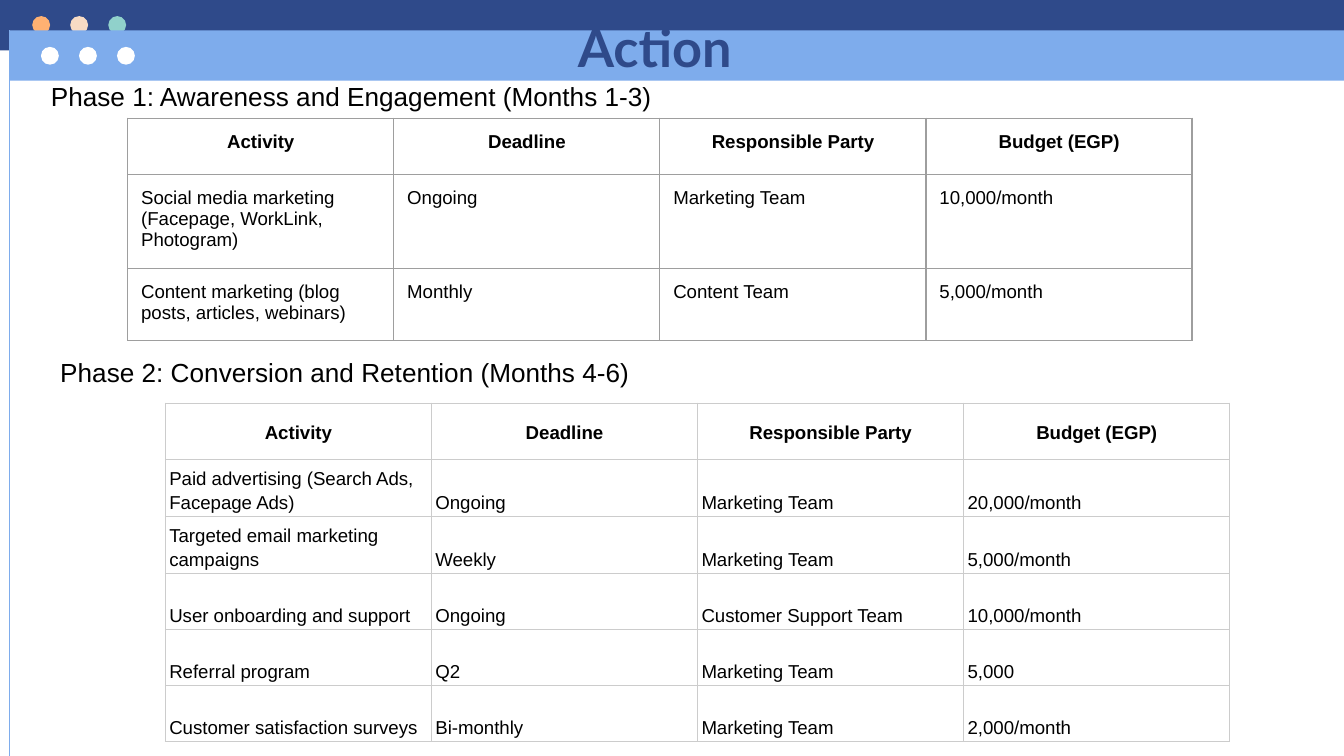
from lxml.etree import SubElement
from pptx import Presentation
from pptx.dml.color import RGBColor
from pptx.enum.shapes import MSO_CONNECTOR, MSO_SHAPE
from pptx.enum.text import MSO_ANCHOR, PP_ALIGN
from pptx.oxml.ns import qn
from pptx.util import Inches, Pt

presentation = Presentation()
presentation.slide_width = Inches(10)
presentation.slide_height = Inches(5.625)
column = presentation.slide_width / 100
row = presentation.slide_height / 100


def color(hex_string):
    return RGBColor.from_string(hex_string)


def place(left, top, width, height):
    return int(left * column), int(top * row), int(width * column), int(height * row)


NAVY, BLUE, WHITE, BLACK = "2F4A8A", "7EACEC", "FFFFFF", "000000"
HEADERS = ["Activity", "Deadline", "Responsible Party", "Budget (EGP)"]

slide = presentation.slides.add_slide(presentation.slide_layouts[5])

bands = [
    (0, 0, 6.67, NAVY, 2.4, 2.13, ["FFB172", "F8DBC4", "90D1CB"]),
    (0.7, 4, 6.67, BLUE, 3.05, 6.2, [WHITE] * 3),
]
for left, top, height, band_color, dot_left, dot_top, dot_colors in bands:
    pieces = [(MSO_SHAPE.RECTANGLE, (left, top, 100 - left, height), band_color)]
    for index, dot_color in enumerate(dot_colors):
        dot_box = (dot_left + index * 2.83, dot_top, 1.33, 2.36)
        pieces.append((MSO_SHAPE.OVAL, dot_box, dot_color))
    for kind, box, fill_color in pieces:
        shape = slide.shapes.add_shape(kind, *place(*box))
        shape.shadow.inherit = False
        shape.fill.solid()
        shape.fill.fore_color.rgb = color(fill_color)
        shape.line.fill.background()

edge_x, edge_top, _, edge_height = place(0.7, 4, 0, 96)
edge = slide.shapes.add_connector(
    MSO_CONNECTOR.STRAIGHT, edge_x, edge_top, edge_x, edge_top + edge_height
)
edge.line.color.rgb = color(BLUE)
edge.line.width = Pt(0.75)
SubElement(edge._element.spPr, qn("a:effectLst"))

title = slide.shapes.title
title.element.getparent().append(title.element)
title.left, title.top, title.width, title.height = place(42, 0.18, 32.8, 11.9)
phase_1 = slide.shapes.add_textbox(*place(2.8, 8.89, 73.9, 7.82))
phase_2 = slide.shapes.add_textbox(*place(3.5, 45.33, 50.6, 7.82))
labels = [
    (title, "Action", "Lato", 28, NAVY, True),
    (phase_1, "Phase 1: Awareness and Engagement (Months 1-3)", "Arial", 14, BLACK, False),
    (phase_2, "Phase 2: Conversion and Retention (Months 4-6)", "Arial", 14, BLACK, False),
]
for shape, text, font_name, size, font_color, bold in labels:
    frame = shape.text_frame
    frame.word_wrap = True
    frame.vertical_anchor = MSO_ANCHOR.TOP
    frame.margin_left = frame.margin_right = Inches(0.1)
    frame.margin_top = frame.margin_bottom = Inches(0.1)
    paragraph = frame.paragraphs[0]
    paragraph.text = text
    paragraph.alignment = PP_ALIGN.LEFT
    paragraph.font.name = font_name
    paragraph.font.size = Pt(size)
    paragraph.font.bold = bold
    paragraph.font.color.rgb = color(font_color)

awareness_rows = [
    HEADERS,
    ["Social media marketing (Facepage, WorkLink, Photogram)", "Ongoing", "Marketing Team", "10,000/month"],
    ["Content marketing (blog posts, articles, webinars)", "Monthly", "Content Team", "5,000/month"],
]
conversion_rows = [
    HEADERS,
    ["Paid advertising (Search Ads, Facepage Ads)", "Ongoing", "Marketing Team", "20,000/month"],
    ["Targeted email marketing campaigns", "Weekly", "Marketing Team", "5,000/month"],
    ["User onboarding and support", "Ongoing", "Customer Support Team", "10,000/month"],
    ["Referral program", "Q2", "Marketing Team", "5,000"],
    ["Customer satisfaction surveys", "Bi-monthly", "Marketing Team", "2,000/month"],
]
tables = [
    (awareness_rows, 9.5, 15.64, "9E9E9E", 0.75, 0.1, 0.1, 1, MSO_ANCHOR.TOP, MSO_ANCHOR.TOP),
    (conversion_rows, 12.3, 53.33, "CCCCCC", 0.6, 0.03, 0.02, 1.15, MSO_ANCHOR.MIDDLE, MSO_ANCHOR.BOTTOM),
]
for rows, left, top, border_color, border_width, side, cap, spacing, head_anchor, body_anchor in tables:
    box = place(left, top, 4 * 19.8, len(rows) * 7.42)
    table = slide.shapes.add_table(len(rows), len(HEADERS), *box).table
    table.horz_banding = False
    for row_index, texts in enumerate(rows):
        is_header = row_index == 0
        for column_index, text in enumerate(texts):
            cell = table.cell(row_index, column_index)
            cell.margin_left = cell.margin_right = Inches(side)
            cell.margin_top = cell.margin_bottom = Inches(cap)
            cell.vertical_anchor = head_anchor if is_header else body_anchor
            paragraph = cell.text_frame.paragraphs[0]
            paragraph.text = text
            paragraph.alignment = PP_ALIGN.CENTER if is_header else PP_ALIGN.LEFT
            paragraph.line_spacing = float(spacing)
            paragraph.font.name = "Arial"
            paragraph.font.size = Pt(10)
            paragraph.font.bold = is_header
            paragraph.font.color.rgb = color(BLACK)
            properties = cell._tc.get_or_add_tcPr()
            for side_name in ("a:lnL", "a:lnR", "a:lnT", "a:lnB"):
                border = SubElement(properties, qn(side_name), w=str(Pt(border_width)))
                fill = SubElement(border, qn("a:solidFill"))
                SubElement(fill, qn("a:srgbClr"), val=border_color)
            cell.fill.background()

presentation.save("out.pptx")
